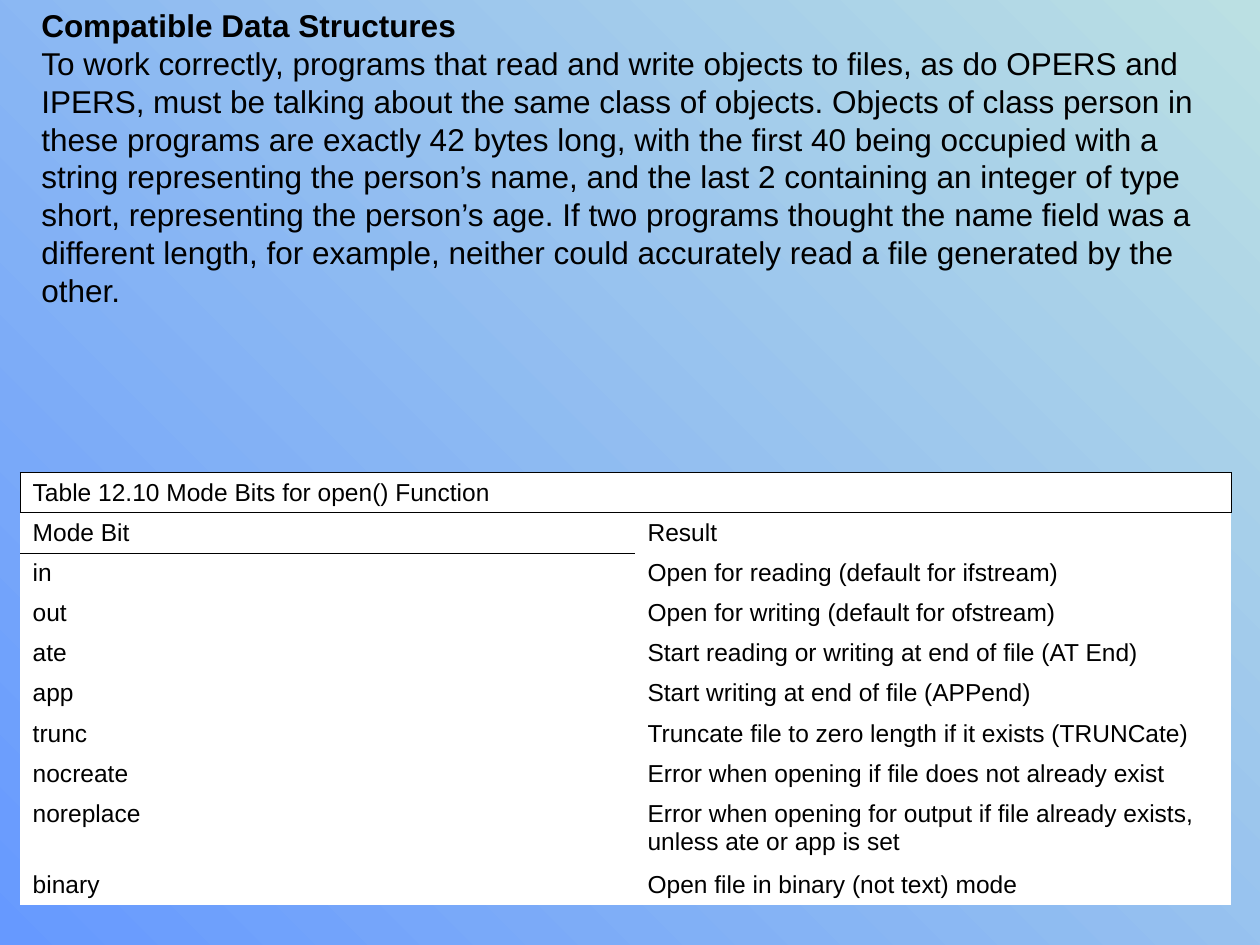
from typing import NamedTuple

from lxml import etree
from pptx import Presentation
from pptx.dml.color import RGBColor
from pptx.enum.text import MSO_ANCHOR, MSO_AUTO_SIZE
from pptx.oxml.ns import qn
from pptx.util import Inches, Pt

MIDDLE, TOP = MSO_ANCHOR.MIDDLE, MSO_ANCHOR.TOP
GROW = MSO_AUTO_SIZE.SHAPE_TO_FIT_TEXT
FONT = "Arial"
PLAIN_STYLE = "{2D5ABB26-0587-4C30-8999-92F81FD0307C}"
COLORS = {"text": "000000", "cell": "FFFFFF", "start": "6699FF", "end": "BBE0E3"}

TITLE = "Compatible Data Structures"
BODY = (
    "To work correctly, programs that read and write objects to files, as do OPERS and "
    "IPERS, must be talking about the same class of objects. Objects of class person in "
    "these programs are exactly 42 bytes long, with the first 40 being occupied with a "
    "string representing the person’s name, and the last 2 containing an integer of type "
    "short, representing the person’s age. If two programs thought the name field was a "
    "different length, for example, neither could accurately read a file generated by the "
    "other."
)


class ModeRow(NamedTuple):
    """One table row: mode bit, result, height in inches and anchor."""

    mode: str
    result: str
    height: float = 0.29
    anchor: MSO_ANCHOR = TOP


ROWS = [
    ModeRow("Table 12.10 Mode Bits for open() Function", "", 0.28, MIDDLE),
    ModeRow("Mode Bit", "Result", 0.28, MIDDLE),
    ModeRow("in", "Open for reading (default for ifstream)"),
    ModeRow("out", "Open for writing (default for ofstream)"),
    ModeRow("ate", "Start reading or writing at end of file (AT End)"),
    ModeRow("app", "Start writing at end of file (APPend)"),
    ModeRow("trunc", "Truncate file to zero length if it exists (TRUNCate)"),
    ModeRow("nocreate", "Error when opening if file does not already exist"),
    ModeRow(
        "noreplace",
        "Error when opening for output if file already exists, unless ate or app is set",
        0.56,
    ),
    ModeRow("binary", "Open file in binary (not text) mode"),
]


def style_paragraph(paragraph, size: float, bold: bool = False) -> None:
    """Set the font of a whole paragraph."""
    font = paragraph.font
    font.name, font.size, font.bold = FONT, Pt(size), bold
    font.color.rgb = RGBColor.from_string(COLORS["text"])


def add_borders(cell, sides: str) -> None:
    """Draw thin lines on the given sides of a cell, in L, R, T, B order."""
    properties = cell._tc.get_or_add_tcPr()
    for index, side in enumerate(sides):
        line = etree.Element(qn(f"a:ln{side}"), w=str(Pt(0.45)))
        fill = etree.SubElement(line, qn("a:solidFill"))
        etree.SubElement(fill, qn("a:srgbClr"), val=COLORS["text"])
        properties.insert(index, line)


def fill_cell(cell, text: str, anchor: MSO_ANCHOR) -> None:
    """Write a white cell with its text."""
    cell.text = text
    cell.vertical_anchor = anchor
    cell.fill.solid()
    cell.fill.fore_color.rgb = RGBColor.from_string(COLORS["cell"])
    style_paragraph(cell.text_frame.paragraphs[0], 14)


def add_mode_table(slide) -> None:
    """Add the table of mode bits."""
    frame = slide.shapes.add_table(
        len(ROWS), 2, Inches(0.16), Inches(3.75), Inches(9.61), Inches(3.18)
    )
    table = frame.table
    table.first_row = table.horz_banding = False
    table._tbl.tblPr.find(qn("a:tableStyleId")).text = PLAIN_STYLE
    for column, width in zip(table.columns, (4.88, 4.73)):
        column.width = Inches(width)
    for index, row in enumerate(ROWS):
        table.rows[index].height = Inches(row.height)
        for column, text in enumerate((row.mode, row.result)):
            fill_cell(table.cell(index, column), text, row.anchor)
    table.cell(0, 0).merge(table.cell(0, 1))
    add_borders(table.cell(0, 0), "LRTB")
    add_borders(table.cell(1, 0), "T")
    frame.height = Inches(3.18)


def add_explanation(slide) -> None:
    """Add the heading and its paragraph."""
    box = slide.shapes.add_textbox(Inches(0.23), 0, Inches(9.53), Inches(2.8))
    text_frame = box.text_frame
    text_frame.word_wrap = True
    text_frame.auto_size = GROW
    text_frame.text = f"{TITLE}\n{BODY}"
    for paragraph, bold in zip(text_frame.paragraphs, (True, False)):
        style_paragraph(paragraph, 18, bold)


def main() -> None:
    """Build and save the slide."""
    presentation = Presentation()
    presentation.slide_width, presentation.slide_height = Inches(10), Inches(7.5)
    slide = presentation.slides.add_slide(presentation.slide_layouts[6])
    background = slide.background.fill
    background.gradient()
    background.gradient_angle = 45
    for stop, name, position in zip(background.gradient_stops, ("start", "end"), (0, 1)):
        stop.color.rgb = RGBColor.from_string(COLORS[name])
        stop.position = position
    add_mode_table(slide)
    add_explanation(slide)
    presentation.save("out.pptx")


if __name__ == "__main__":
    main()
